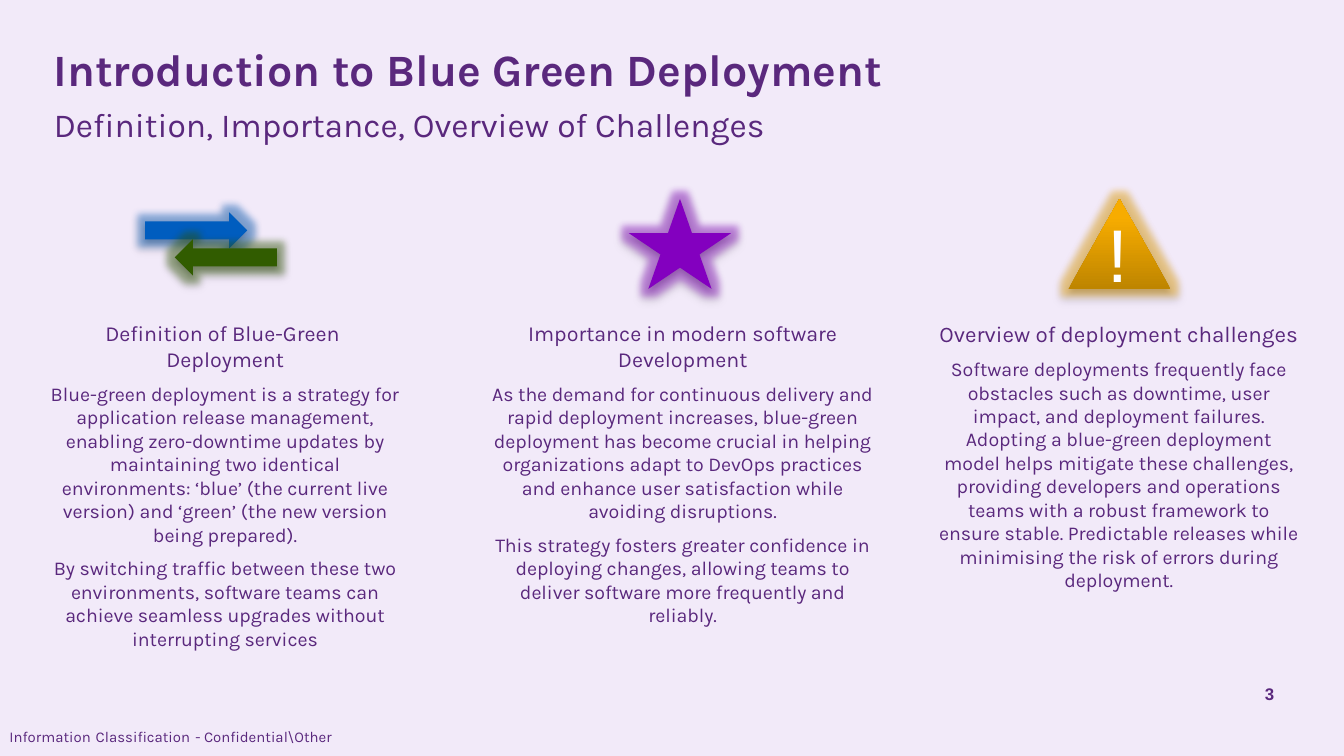
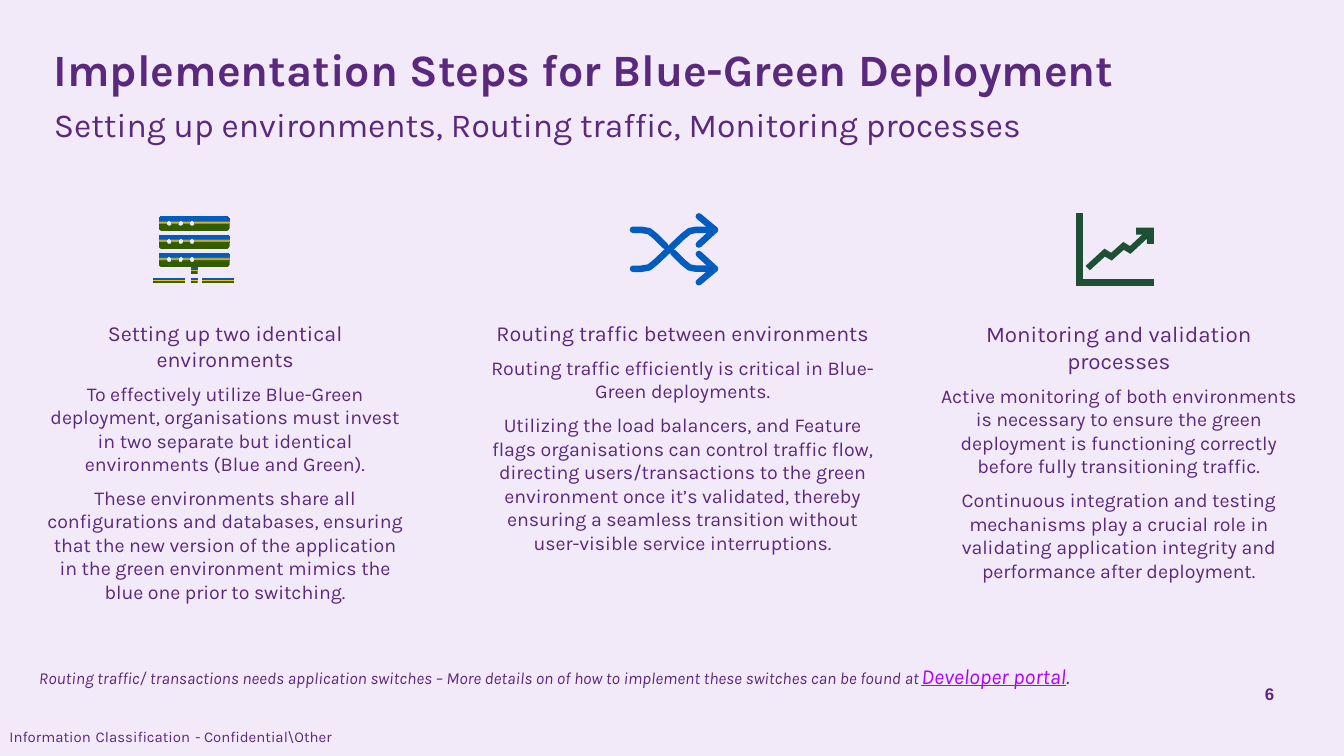
import math
from lxml import etree
from pptx import Presentation, util as u
from pptx.dml.color import RGBColor
from pptx.enum import shapes, text
from pptx.oxml.ns import qn

PURPLE = RGBColor(0x5A, 0x28, 0x7D)
LILAC = RGBColor(0xF2, 0xEA, 0xF9)
MAGENTA = RGBColor(0xAE, 0x00, 0xFF)
BLUE = RGBColor(0x00, 0x5D, 0xBF)
GREEN = RGBColor(0x31, 0x5C, 0x00)
GOLD = RGBColor(0xFF, 0xC0, 0x00)
VIOLET = RGBColor(0x83, 0x00, 0xBF)
AMBER = RGBColor(0xF7, 0xAC, 0x00)
DARK_AMBER = RGBColor(0xBE, 0x85, 0x00)
NAVY = RGBColor(0x00, 0x3D, 0x80)
PINE = RGBColor(0x1D, 0x50, 0x34)
WHITE = RGBColor(0xFF, 0xFF, 0xFF)
BLACK = RGBColor(0, 0, 0)

BLUE_GREEN = [(45, GREEN), (56, GOLD), (69, BLUE)]
WARNING = [(0, DARK_AMBER), (80, AMBER), (100, AMBER)]
CHART_FILL = [(0, NAVY), (66, GREEN)]

SLIDE_WIDTH = 10
SLIDE_HEIGHT = SLIDE_WIDTH * 9 / 16
COLUMNS = [(0.33, 2.69, 11.5), (3.61, 2.94, 11.5), (6.97, 2.71, 12)]
FOOTER = ["Information", "Classification", "- Confidential\\Other"]

INTRODUCTION = {
    "title": "Introduction to Blue Green Deployment",
    "subtitle": "Definition, Importance, Overview of Challenges",
    "number": "3",
    "columns": [
        (["Definition of Blue-Green ", "Deployment"], [
            "Blue-green deployment is a strategy for application release management, "
            "enabling zero-downtime updates by maintaining two identical environments: "
            "‘blue’ (the current live version) and ‘green’ (the new version being prepared).",
            "By switching traffic between these two environments, software teams can "
            "achieve seamless upgrades without interrupting services"]),
        (["Importance in modern software Development"], [
            "As the demand for continuous delivery and rapid deployment increases, "
            "blue-green deployment has become crucial in helping organizations adapt to "
            "DevOps practices and enhance user satisfaction while avoiding disruptions.",
            "This strategy fosters greater confidence in deploying changes, allowing "
            "teams to deliver software more frequently and reliably."]),
        (["Overview of deployment challenges"], [
            "Software deployments frequently face obstacles such as downtime, user "
            "impact, and deployment failures. Adopting a blue-green deployment model "
            "helps mitigate these challenges, providing developers and operations teams "
            "with a robust framework to ensure stable. Predictable releases while "
            "minimising the risk of errors during deployment."]),
    ],
}
IMPLEMENTATION = {
    "title": "Implementation Steps for Blue-Green Deployment",
    "subtitle": "Setting up environments, Routing traffic, Monitoring processes",
    "number": "6",
    "columns": [
        (["Setting up two identical environments"], [
            "To effectively utilize Blue-Green deployment, organisations must invest in "
            "two separate but identical environments (Blue and Green).",
            "These environments share all configurations and databases, ensuring that "
            "the new version of the application in the green environment mimics the blue "
            "one prior to switching."]),
        (["Routing traffic between environments"], [
            "Routing traffic efficiently is critical in Blue-Green deployments.",
            "Utilizing the load balancers, and Feature flags organisations can control "
            "traffic flow, directing users/transactions to the green environment once "
            "it’s validated, thereby ensuring a seamless transition without user-visible "
            "service interruptions."]),
        (["Monitoring and validation processes"], [
            "Active monitoring of both environments is necessary to ensure the green "
            "deployment is functioning correctly before fully transitioning traffic.",
            "Continuous integration and testing mechanisms play a crucial role in "
            "validating application integrity and performance after deployment."]),
    ],
}
PORTAL_NOTE = ("Routing traffic/ transactions needs application switches – More details "
               "on of how to implement these switches can be found at ")

STAND = [(1.42, 1.99, 0.05, 0.05), (1.42, 2.07, 0.05, 0.04),
         (1.5, 2.07, 0.24, 0.04), (1.14, 2.07, 0.24, 0.04)]
ROUTE_IN = [(4.71, 2), (4.77, 2), (4.83, 1.99), (4.88, 1.95)]
ROUTE_OUT = [(5.08, 1.76), (5.13, 1.72), (5.18, 1.71), (5.32, 1.71)]
ROUTE_HEAD = [(5.2, 1.61), (5.32, 1.71), (5.2, 1.82)]
TREND = [(8.22, 1.89), (8.27, 1.92), (8.36, 1.84), (8.41, 1.87), (8.55, 1.74),
         (8.55, 1.8), (8.57, 1.8), (8.57, 1.71), (8.47, 1.71), (8.47, 1.73),
         (8.54, 1.73), (8.41, 1.85), (8.36, 1.82), (8.27, 1.9), (8.22, 1.87),
         (8.1, 1.98), (8.11, 1.99)]
AXES = [(8.04, 2.09), (8.04, 1.6), (8.02, 1.6), (8.02, 2.11), (8.57, 2.11), (8.57, 2.09)]


def inches(*lengths):
    return [u.Inches(length) for length in lengths]


def style(run, size, color=PURPLE, font="Karla", bold=False, italic=False):
    run.font.size = u.Pt(size)
    run.font.name = font
    run.font.color.rgb = color
    run.font.bold = bold
    run.font.italic = italic


def add_run(paragraph, words, size, **look):
    run = paragraph.add_run()
    run.text = words
    style(run, size, **look)
    return run


def add_frame(slide, place, wrap=True):
    frame = slide.shapes.add_textbox(*inches(*place)).text_frame
    frame.margin_left = frame.margin_right = frame.margin_top = frame.margin_bottom = 0
    frame.word_wrap = wrap
    return frame


def add_line(slide, place, words, size, wrap=True, **look):
    frame = add_frame(slide, place, wrap)
    add_run(frame.paragraphs[0], words, size, **look)
    return frame


def paint(shape, fill=None, line=None, width=0, join="a:round"):
    if fill is None:
        shape.fill.background()
    elif isinstance(fill, list):
        shape.fill.gradient()
        shape.fill.gradient_angle = 90
        stops = shape._element.spPr.find(qn("a:gradFill")).find(qn("a:gsLst"))
        for old in list(stops):
            stops.remove(old)
        for position, color in fill:
            stop = etree.SubElement(stops, qn("a:gs"), pos=str(position * 1000))
            etree.SubElement(stop, qn("a:srgbClr"), val=str(color))
    else:
        shape.fill.solid()
        shape.fill.fore_color.rgb = fill
    if line is None:
        shape.line.fill.background()
    else:
        shape.line.color.rgb = line
        shape.line.width = u.Pt(width)
        outline = shape._element.spPr.find(qn("a:ln"))
        if join == "a:round":
            outline.set("cap", "rnd")
        etree.SubElement(outline, qn(join))
    shape.shadow.inherit = False


def add_effect(effects, kind, color, alpha, **settings):
    effect = etree.SubElement(effects, qn(kind), **settings)
    tint = etree.SubElement(effect, qn("a:srgbClr"), val=str(color))
    etree.SubElement(tint, qn("a:alpha"), val=str(alpha * 1000))


def add_glowing(slide, kind, place, fill, glow, rotation=0):
    shape = slide.shapes.add_shape(kind, *inches(*place))
    shape.rotation = rotation
    paint(shape, fill)
    effects = shape._element.spPr.find(qn("a:effectLst"))
    add_effect(effects, "a:glow", glow, 40, rad=str(u.Pt(8)))
    add_effect(effects, "a:outerShdw", BLACK, 35, blurRad=str(u.Pt(3.1)),
               dist=str(u.Pt(2)), dir="5400000", rotWithShape="0")


def add_outline(slide, contours, closed=True, **look):
    builder = None
    for contour in contours:
        first, *rest = [inches(*point) for point in contour]
        if builder is None:
            builder = slide.shapes.build_freeform(*first, scale=1.0)
        else:
            builder.move_to(*first)
        builder.add_line_segments(rest, close=closed)
    paint(builder.convert_to_shape(), **look)


def arc(x, y, radius, start, sweep, steps):
    angles = [math.radians(start + sweep * i / steps) for i in range(steps + 1)]
    return [(x + radius * math.cos(a), y + radius * math.sin(a)) for a in angles]


def add_server(slide, top):
    left, right, bottom, radius = 1.18, 1.71, top + 0.11, 0.03
    corners = [(right - radius, bottom - radius), (left + radius, bottom - radius),
               (left + radius, top + radius), (right - radius, top + radius)]
    case = [point for i, corner in enumerate(corners)
            for point in arc(*corner, radius, 90 * i, 90, 4)]
    lights = [arc(1.26 + 0.085 * i, top + 0.05, 0.02, 0, -360, 12) for i in range(3)]
    add_outline(slide, [case] + lights, fill=BLUE_GREEN)


def mirrored(points):
    return [(x, 3.71 - y) for x, y in points]


def add_base(deck, content):
    slide = deck.slides.add_slide(deck.slide_layouts[6])
    slide.background.fill.solid()
    slide.background.fill.fore_color.rgb = LILAC

    number = add_line(slide, (9.13, 5.01, 0.35, 0.3), content["number"], 9,
                      font="Arial", bold=True)
    number.vertical_anchor = text.MSO_ANCHOR.MIDDLE
    number.paragraphs[0].alignment = text.PP_ALIGN.RIGHT

    footer = add_frame(slide, (0.07, 5.37, 2.9, 0.18)).paragraphs[0]
    for i, part in enumerate(FOOTER):
        if i:
            add_run(footer, " ", 11, color=BLACK, font="Calibri")
        add_run(footer, part, 8)

    add_line(slide, (0.4, 0.31, 8, 0.5), content["title"], 24, wrap=False, bold=True)
    subtitle = add_line(slide, (0.4, 0.81, 8.98, 0.27), content["subtitle"], 18)
    subtitle.paragraphs[0].line_spacing = 0.9

    for (left, width, heading_size), (headings, body) in zip(COLUMNS, content["columns"]):
        frame = add_frame(slide, (left, 2.38, width, 1.57))
        frame.text = "\n".join(headings + body)
        for i, paragraph in enumerate(frame.paragraphs):
            is_heading = i < len(headings)
            paragraph.alignment = text.PP_ALIGN.CENTER
            paragraph.space_before = u.Pt(0 if is_heading else 5.5)
            style(paragraph.runs[0], heading_size if is_heading else 10.5)
    return slide


def build_introduction(deck):
    slide = add_base(deck, INTRODUCTION)
    kinds = shapes.MSO_SHAPE
    add_glowing(slide, kinds.RIGHT_ARROW, (1.08, 1.58, 0.76, 0.27), BLUE, BLUE)
    add_glowing(slide, kinds.RIGHT_ARROW, (1.3, 1.78, 0.76, 0.27), GREEN, GREEN, 180)
    add_glowing(slide, kinds.STAR_5_POINT, (4.68, 1.48, 0.76, 0.67), VIOLET, VIOLET)
    add_glowing(slide, kinds.ISOSCELES_TRIANGLE, (7.95, 1.48, 0.76, 0.67), WARNING, AMBER)
    add_line(slide, (8.24, 1.55, 0.16, 0.6), "!", 40, wrap=False, color=WHITE, font="Arial")


def build_implementation(deck):
    slide = add_base(deck, IMPLEMENTATION)
    note = add_line(slide, (0.29, 4.93, 9.39, 0.39), PORTAL_NOTE, 9, italic=True)
    paragraph = note.paragraphs[0]
    portal = add_run(paragraph, "Developer portal", 11.5, color=MAGENTA, italic=True)
    portal.font.underline = True
    add_run(paragraph, ".", 11.5, italic=True)

    for place in STAND:
        paint(slide.shapes.add_shape(shapes.MSO_SHAPE.RECTANGLE, *inches(*place)), BLUE_GREEN)
    for i in range(3):
        add_server(slide, 1.61 + 0.135 * i)

    routes = [
        [ROUTE_IN + ROUTE_OUT, ROUTE_HEAD],
        [mirrored(ROUTE_IN) + [(4.95, 1.83)]],
        [[(5.01, 1.88)] + mirrored(ROUTE_OUT), mirrored(ROUTE_HEAD)],
    ]
    for route in routes:
        add_outline(slide, route, closed=False, line=BLUE, width=3.5)
    for part in (TREND, AXES):
        add_outline(slide, [part], fill=CHART_FILL, line=PINE, width=2.25, join="a:miter")


def main():
    deck = Presentation()
    deck.slide_width, deck.slide_height = inches(SLIDE_WIDTH, SLIDE_HEIGHT)
    build_introduction(deck)
    build_implementation(deck)
    deck.save("out.pptx")


if __name__ == "__main__":
    main()
